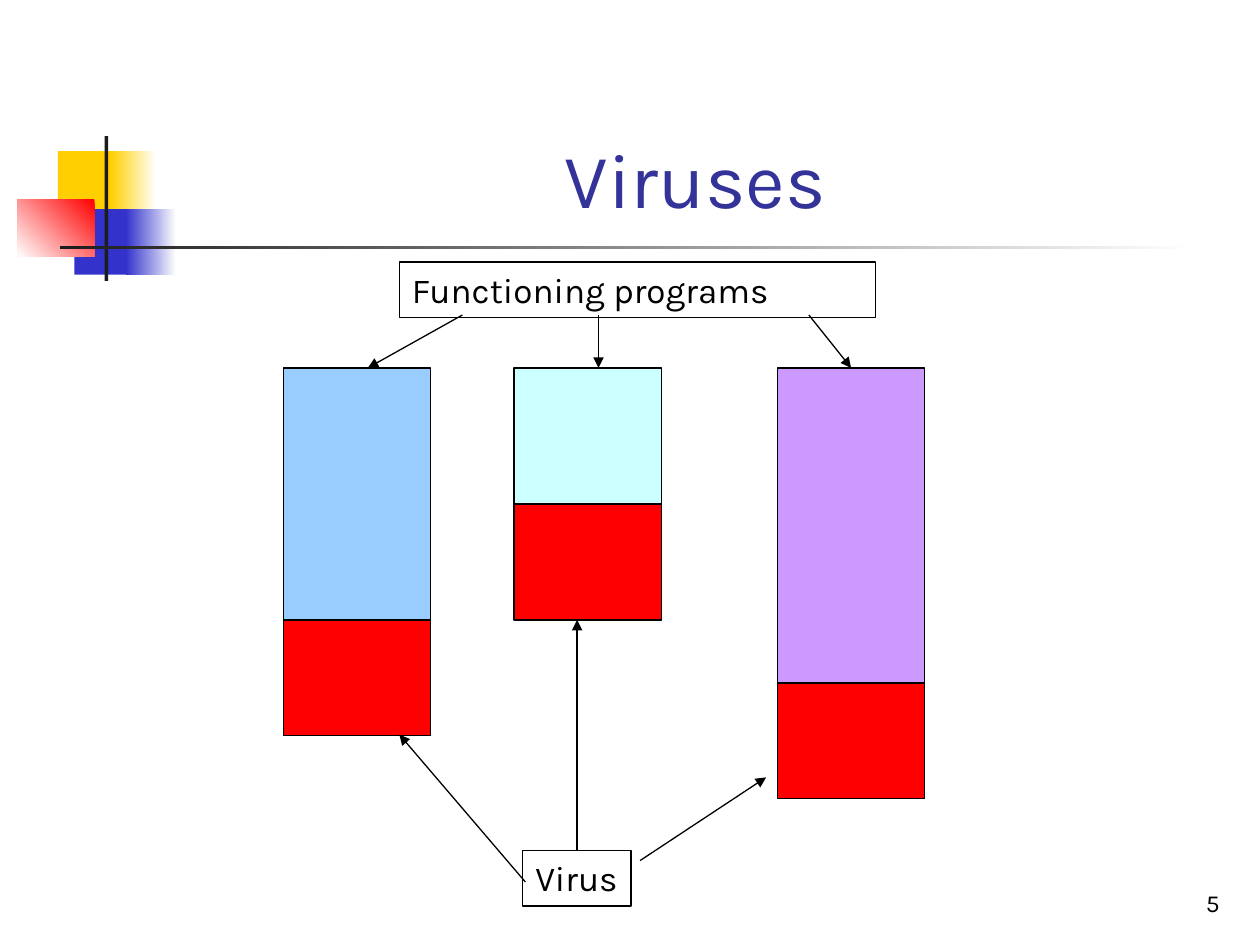
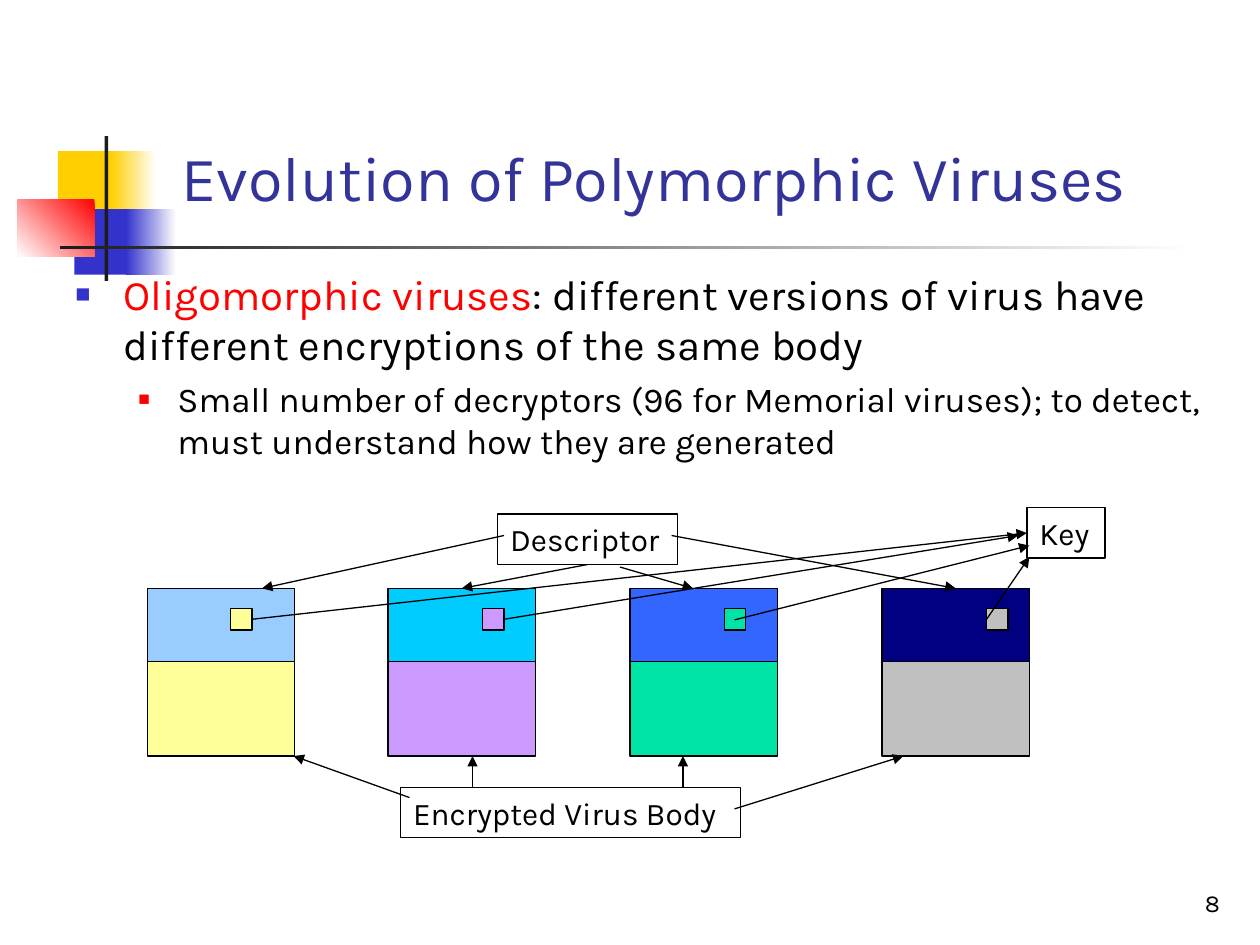
from dataclasses import dataclass

from lxml import etree
from pptx import Presentation
from pptx import util as u
from pptx.dml import color
from pptx.enum import shapes, text
from pptx.oxml import ns


@dataclass(frozen=True)
class Theme:
    font: str = "Karla"
    # Colours
    ink: str = "000000"
    title: str = "333399"
    red: str = "FF0000"
    gold: str = "FFCF01"
    blue: str = "3333CC"
    dark: str = "1C1C1C"
    white: str = "FFFFFF"
    sky: str = "99CCFF"
    ice: str = "CCFFFF"
    violet: str = "CC99FF"
    lemon: str = "FFFF99"
    cyan: str = "00CCFF"
    royal: str = "3366FF"
    mint: str = "00E4A8"
    navy: str = "000080"
    grey: str = "C0C0C0"
    # Type sizes and line width in points
    big: int = 44
    head: int = 36
    lead: int = 24
    note: int = 20
    label: int = 18
    foot: int = 14
    rule: float = 0.75


T = Theme()
TOP, LEFT, BOTTOM, RIGHT = range(4)
WIDE = 1.17  # width of every program block


def rgb(code):
    return color.RGBColor.from_string(code)


def apply(item, form):
    for name, value in form.items():
        setattr(item, name, value)


class Deck:
    """Holds the style and the slide being drawn."""

    def __init__(self, theme):
        self.theme = theme
        self.show = Presentation()
        apply(self.show, {"slide_width": u.Inches(10),
                          "slide_height": u.Inches(7.5)})
        self.slide = None

    def start(self, title, at, size, page):
        self.slide = self.show.slides.add_slide(self.show.slide_layouts[5])
        self.motif()
        head = self.slide.shapes.title
        apply(head, dict(zip(("left", "top", "width", "height"),
                             map(u.Inches, at))))
        self.typeset(head.text_frame, [(title, self.theme.title)], size,
                     align=text.PP_ALIGN.CENTER, anchor=text.MSO_ANCHOR.BOTTOM)
        foot = self.slide.shapes.add_textbox(
            *map(u.Inches, (7.7, 6.83, 2.08, 0.5)))
        self.typeset(foot.text_frame, [(page, self.theme.ink)], self.theme.foot,
                     align=text.PP_ALIGN.RIGHT, anchor=text.MSO_ANCHOR.BOTTOM)

    def motif(self):
        t = self.theme
        self.block((0.46, 1.2, 0.48, 0.52), t.gold, False)
        self.fade((0.88, 1.2, 0.36, 0.52), t.white, t.gold)
        self.block((0.59, 1.66, 0.46, 0.52), t.blue, False)
        self.fade((1, 1.66, 0.4, 0.52), t.white, t.blue)
        self.fade((0.14, 1.58, 0.61, 0.46), t.red, t.white, 225)
        self.block((0.83, 1.08, 0.03, 1.15), t.dark, False)
        self.fade((0.48, 1.95, 9, 0.03), t.white, t.dark)

    def block(self, at, fill, edge=True):
        box = self.slide.shapes.add_shape(
            shapes.MSO_SHAPE.RECTANGLE, *map(u.Inches, at))
        box.shadow.inherit = False
        box.fill.solid()
        box.fill.fore_color.rgb = rgb(fill)
        if edge:
            self.edge(box)
        else:
            box.line.fill.background()
        return box

    def fade(self, at, first, last, angle=180):
        fill = self.block(at, first, False).fill
        fill.gradient()
        fill.gradient_angle = angle
        for stop, tint, place in zip(fill.gradient_stops, (first, last), (0, 1)):
            stop.color.rgb = rgb(tint)
            stop.position = place

    def edge(self, item):
        item.line.color.rgb = rgb(self.theme.ink)
        item.line.width = u.Pt(self.theme.rule)

    def typeset(self, frame, runs, size, align=text.PP_ALIGN.LEFT,
                anchor=text.MSO_ANCHOR.TOP, wrap=True, grow=False):
        fit = text.MSO_AUTO_SIZE
        apply(frame, {"word_wrap": wrap, "vertical_anchor": anchor,
                      "auto_size": fit.SHAPE_TO_FIT_TEXT if grow else fit.NONE})
        frame.paragraphs[0].alignment = align
        self.fill(frame.paragraphs[0], runs, size)

    def fill(self, para, runs, size):
        for words, tint in runs:
            run = para.add_run()
            run.text = words
            apply(run.font, {"name": self.theme.font, "size": u.Pt(size)})
            run.font.color.rgb = rgb(tint)

    def label(self, words, at, size, wrap=False):
        box = self.slide.shapes.add_textbox(*map(u.Inches, at))
        self.edge(box)
        self.typeset(box.text_frame, [(words, self.theme.ink)], size,
                     wrap=wrap, grow=True)
        return box

    def bullets(self, at, items):
        frame = self.slide.shapes.add_textbox(*map(u.Inches, at)).text_frame
        frame.word_wrap = True
        for num, (runs, size, level, left, hang, gap, tint, scale) in enumerate(items):
            para = frame.add_paragraph() if num else frame.paragraphs[0]
            apply(para, {"level": level, "space_before": u.Pt(gap)})
            self.fill(para, runs, size)
            prop = para._p.get_or_add_pPr()
            prop.set("marL", str(u.Inches(left)))
            prop.set("indent", str(-u.Inches(hang)))
            mark = etree.SubElement(prop, ns.qn("a:buClr"))
            etree.SubElement(mark, ns.qn("a:srgbClr"), val=tint)
            etree.SubElement(prop, ns.qn("a:buSzPct"), val=str(scale * 1000))
            etree.SubElement(prop, ns.qn("a:buFont"), typeface="Arial")
            etree.SubElement(prop, ns.qn("a:buChar"), char="■")

    def arrow(self, start, end):
        """Each end is an (x, y) point or a (shape, side) pair."""
        free = [(0, 0) if hasattr(p[0], "shape_id") else p for p in (start, end)]
        line = self.slide.shapes.add_connector(
            shapes.MSO_CONNECTOR.STRAIGHT,
            *(u.Inches(n) for point in free for n in point))
        for point, join in ((start, line.begin_connect), (end, line.end_connect)):
            if hasattr(point[0], "shape_id"):
                join(*point)
        self.edge(line)
        prop = line._element.spPr
        etree.SubElement(prop.find(ns.qn("a:ln")), ns.qn("a:tailEnd"),
                         type="triangle")
        etree.SubElement(prop, ns.qn("a:effectLst"))


def viruses(deck):
    deck.start("Viruses", (1.26, 0.23, 8.52, 1.6), T.big, "5")

    # Programs, each with the virus attached below
    top, tail = 2.92, 0.92
    hosts = []
    for left, tint, tall in ((2.25, T.sky, 2), (4.08, T.ice, 1.08),
                             (6.17, T.violet, 2.5)):
        hosts.append(deck.block((left, top, WIDE, tall), tint))
        deck.block((left, top + tall, WIDE, tail), T.red)

    # Labels and arrows
    virus = deck.label("Virus", (4.15, 6.75, 0.86, 0.44), T.note)
    deck.label("Functioning programs", (3.17, 2.08, 3.78, 0.44), T.note, True)
    for start, end in (((5.08, 6.83), (6.08, 6.17)),
                       ((virus, TOP), (4.58, 4.92)),
                       ((4.17, 7), (3.17, 5.83)),
                       ((3.67, 2.5), (2.92, top)),
                       ((4.75, 2.5), (4.75, top)),
                       ((6.42, 2.5), (hosts[2], TOP))):
        deck.arrow(start, end)


def evolve(deck):
    deck.start("Evolution of Polymorphic Viruses", (0.83, 0.75, 8.72, 1),
               T.head, "8")
    deck.bullets((0.5, 2.08, 9.25, 5.25), (
        ([("Oligomorphic viruses", T.red),
          (": different versions of virus have different encryptions "
           "of the same body", T.ink)],
         T.lead, 0, 0.38, 0.38, 6, T.blue, 60),
        ([("Small number of decryptors (96 for Memorial viruses); to detect, "
           "must understand how they are generated", T.ink)],
         T.note, 1, 0.81, 0.31, 5, T.red, 55)))

    # Versions: descriptor above, encrypted body below, key inside
    top, split, base = 4.67, 5.25, 6
    heads = []
    keys = []
    for left, tint, body, spot in ((1.17, T.sky, T.lemon, 1.83),
                                   (3.08, T.cyan, T.violet, 3.83),
                                   (5, T.royal, T.mint, 5.75),
                                   (7, T.navy, T.grey, 7.83)):
        heads.append(deck.block((left, top, WIDE, split - top), tint))
        deck.block((left, split, WIDE, base - split), body)
        keys.append(deck.block((spot, 4.83, 0.17, 0.17), body))

    # Labels
    deck.label("Encrypted Virus Body", (3.18, 6.25, 2.7, 0.4), T.label)
    desc = deck.label("Descriptor", (3.95, 4.08, 1.43, 0.4), T.label)
    key = deck.label("Key", (8.15, 4.03, 0.62, 0.4), T.label)

    # Arrows to the bodies, to the descriptors, and from the keys
    for start, end in (((3.25, 6.33), (2.33, base)),
                       ((3.75, 6.25), (3.75, base)),
                       ((5.42, 6.25), (5.42, base)),
                       ((5.83, 6.42), (7.17, base)),
                       ((4, 4.25), (2.08, top)),
                       ((5.33, 4.25), (heads[3], TOP)),
                       ((desc, BOTTOM), (heads[1], TOP)),
                       ((4.92, 4.5), (5.5, top)),
                       ((keys[3], LEFT), (8.17, 4.42)),
                       ((5.83, 4.92), (8.17, 4.33)),
                       ((keys[1], RIGHT), (8.08, 4.25)),
                       ((keys[0], RIGHT), (key, LEFT))):
        deck.arrow(start, end)


def main():
    deck = Deck(T)
    viruses(deck)
    evolve(deck)
    deck.show.save("out.pptx")


if __name__ == "__main__":
    main()
